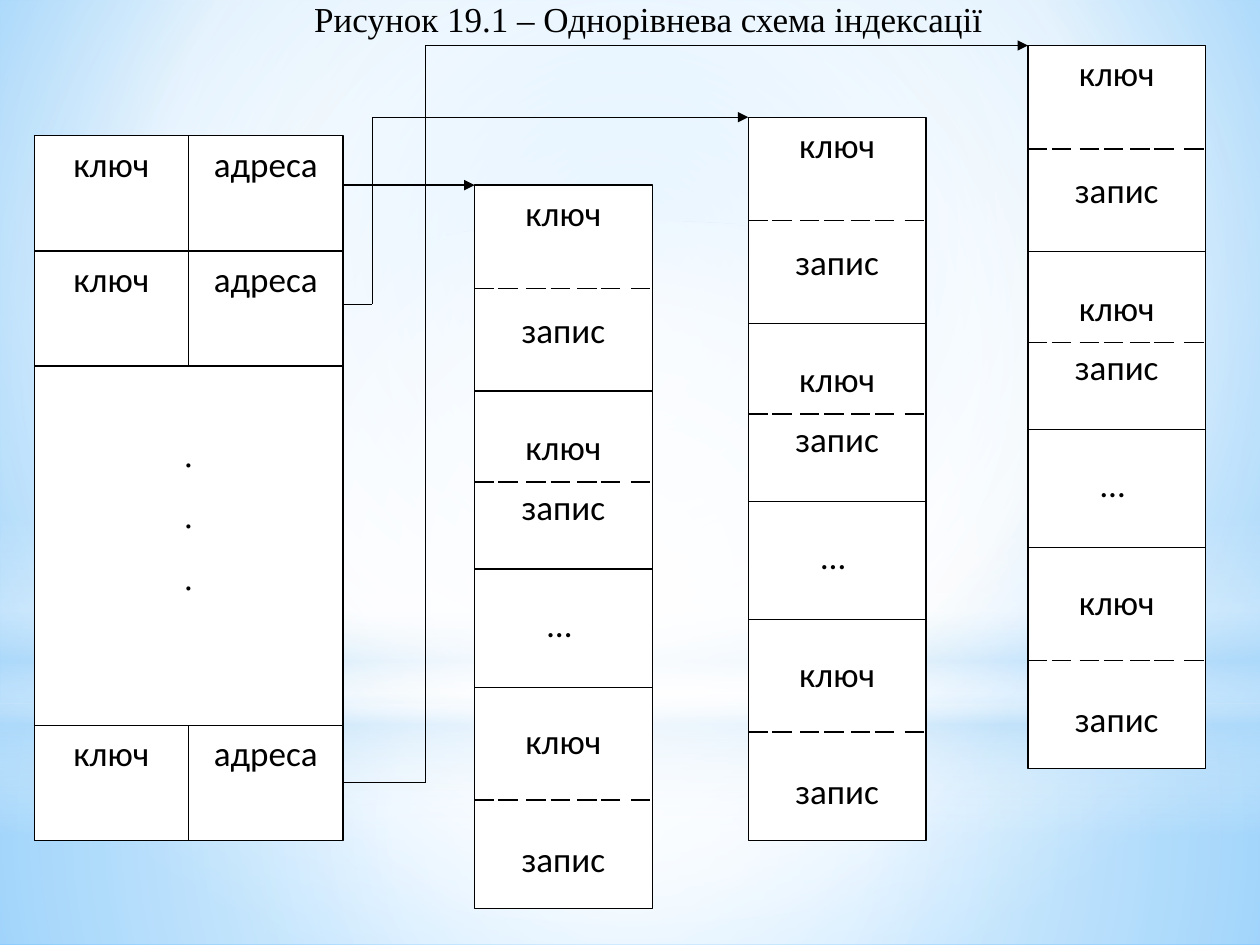
"""Build the slide with the one-level indexing scheme."""
from dataclasses import dataclass
from typing import Any, NamedTuple, Optional

from lxml.etree import SubElement
from pptx import Presentation
from pptx.dml.color import RGBColor
from pptx.enum.shapes import MSO_CONNECTOR as Connector, MSO_SHAPE as Preset
from pptx.enum.text import MSO_ANCHOR as Anchor, MSO_AUTO_SIZE as AutoSize, PP_ALIGN as Align
from pptx.oxml import parse_xml
from pptx.oxml.ns import nsdecls, qn
from pptx.util import Pt


@dataclass(frozen=True)
class Theme:
    """Colours, fonts and sizes of the slide."""
    ink: RGBColor = RGBColor(0, 0, 0)
    paper: RGBColor = RGBColor(255, 255, 255)
    white: str = "FFFFFF"
    pale: str = "B4DCFA"
    sky: str = "9ED5FF"
    deep: str = "5BB9FF"
    body_font: str = "Calibri"
    serif_font: str = "Times New Roman"
    text_size: float = 20
    line_width: float = 0.75
    paragraph_gap: float = 10


class Box(NamedTuple):
    """Left, top, width and height in points."""
    left: float
    top: float
    width: float
    height: float


class Stop(NamedTuple):
    """Gradient stop with position and opacity in percent."""
    position: int
    colour: str
    opacity: int = 100


class Line(NamedTuple):
    """Paragraph with the extra space above it."""
    text: str
    space_before: float = 0


class Route(NamedTuple):
    """Arrow from an index entry through a vertical lane to a data column."""
    start_y: float
    lane_x: float
    target: Box
    source: Optional[Any] = None


THEME = Theme()
CENTRE = (50, 50, 50, 50)
BLANK = 33
RECORD_LINES = [Line("ключ"), Line("запис", BLANK), Line("ключ", BLANK), Line("запис"),
                Line("… ", BLANK), Line("ключ", BLANK), Line("запис", BLANK)]
COLUMNS = [Box(left, top, 101.6, 413.3)
           for left, top in ((271.2, 105.8), (427.6, 67), (587.4, 26))]
RECORD_BORDERS = (117.7, 219.4, 287)
KEY_BORDERS = (59.1, 169.6, 351.3)
DASH_STARTS = (0, 13.6, 29.6, 43.4, 58.6, 72.2, 89.3)
DASH_LENGTH = 11.1
INDEX_LEFT, CELL_WIDTH, CELL_HEIGHT = 19.6, 88.2, 65.8
INDEX_RIGHT = INDEX_LEFT + 2 * CELL_WIDTH
INDEX_TOPS = (77.6, 143.4, 414.4)
GAP_TOP = INDEX_TOPS[1] + CELL_HEIGHT


def apply(target: Any, values: dict) -> None:
    """Set each named attribute on the target."""
    for name, value in values.items():
        setattr(target, name, value)


def set_gradient(properties: Any, stops: list, focus: Optional[tuple] = None) -> None:
    """Replace a solid fill by a circular gradient, or a vertical one without focus."""
    colours = "".join(
        f'<a:gs pos="{stop.position * 1000}"><a:srgbClr val="{stop.colour}">'
        f'<a:alpha val="{stop.opacity * 1000}"/></a:srgbClr></a:gs>' for stop in stops)
    direction = '<a:lin ang="5400000" scaled="0"/>'
    if focus:
        sides = " ".join(f'{side}="{value * 1000}"' for side, value in zip("ltrb", focus))
        direction = f'<a:path path="circle"><a:fillToRect {sides}/></a:path>'
    gradient = parse_xml(f'<a:gradFill {nsdecls("a")} rotWithShape="1">'
                         f'<a:gsLst>{colours}</a:gsLst>{direction}</a:gradFill>')
    properties.replace(properties.find(qn("a:solidFill")), gradient)


def add_box(slide: Any, preset: Preset, box: Box) -> Any:
    """Add a shape with a plain fill and no shadow."""
    shape = slide.shapes.add_shape(preset, *map(Pt, box))
    shape.shadow.inherit = False
    shape.fill.solid()
    return shape


def add_glow(slide: Any, preset: Preset, box: Box, stops: list,
             focus: Optional[tuple] = CENTRE) -> None:
    """Add a translucent backdrop shape."""
    shape = add_box(slide, preset, box)
    shape.line.fill.background()
    set_gradient(shape.element.spPr, stops, focus)


def add_cell(slide: Any, box: Box, lines: list, font: str = THEME.body_font,
             gap: float = THEME.paragraph_gap, inset: float = 3.6) -> Any:
    """Add an outlined cell with centred paragraphs."""
    shape = add_box(slide, Preset.RECTANGLE, box)
    shape.fill.fore_color.rgb = THEME.paper
    shape.line.color.rgb = THEME.ink
    shape.line.width = Pt(THEME.line_width)
    frame = shape.text_frame
    apply(frame, {"vertical_anchor": Anchor.TOP, "word_wrap": True, "margin_top": Pt(inset)})
    for number, line in enumerate(lines):
        paragraph = frame.add_paragraph() if number else frame.paragraphs[0]
        apply(paragraph, {"text": line.text, "alignment": Align.CENTER,
                          "space_before": Pt(line.space_before), "space_after": Pt(gap)})
        apply(paragraph.font, {"name": font, "size": Pt(THEME.text_size)})
        paragraph.font.color.rgb = THEME.ink
    return shape


def add_line(slide: Any, start: tuple, end: tuple, arrow: bool = False) -> Any:
    """Add a thin straight line, with an arrowhead at its end if wanted."""
    connector = slide.shapes.add_connector(Connector.STRAIGHT, *map(Pt, (*start, *end)))
    connector.line.color.rgb = THEME.ink
    connector.line.width = Pt(THEME.line_width)
    if arrow:
        SubElement(connector.line._get_or_add_ln(), qn("a:tailEnd"), type="triangle")
    SubElement(connector.element.spPr, qn("a:effectLst"))
    return connector


def add_background(slide: Any) -> None:
    """Paint the sky gradient and its glowing layers."""
    slide.background.fill.solid()
    set_gradient(slide.element.find(".//" + qn("p:bgPr")),
                 [Stop(0, THEME.sky), Stop(60, THEME.white), Stop(100, THEME.deep)],
                 (20, 10, 20, 60))
    white, pale = THEME.white, THEME.pale
    add_glow(slide, Preset.RECTANGLE, Box(0, 402, 720, 138),
             [Stop(0, white, 91), Stop(37, white, 76), Stop(100, pale, 79)])
    add_glow(slide, Preset.RECTANGLE, Box(0, 0, 720, 402),
             [Stop(0, white, 89), Stop(48, white, 62), Stop(100, pale, 79)])
    add_glow(slide, Preset.RECTANGLE, Box(0, 296.6, 720, 180),
             [Stop(0, white, 0), Stop(29, white, 30), Stop(45, pale, 40),
              Stop(55, white, 26), Stop(65, pale, 60), Stop(100, white, 0)], None)
    add_glow(slide, Preset.OVAL, Box(0, 126, 720, 402), [Stop(0, white), Stop(56, white, 0)])


def add_index(slide: Any) -> Any:
    """Draw the index table and return its last address cell."""
    for top in INDEX_TOPS:
        for column, text in enumerate(("ключ", "адреса")):
            box = Box(INDEX_LEFT + column * CELL_WIDTH, top, CELL_WIDTH, CELL_HEIGHT)
            cell = add_cell(slide, box, [Line(text)])
    add_cell(slide, Box(INDEX_LEFT, GAP_TOP, 2 * CELL_WIDTH, INDEX_TOPS[-1] - GAP_TOP),
             [Line(".")] * 3, THEME.serif_font, gap=11, inset=38)
    return cell


def add_column(slide: Any, box: Box) -> None:
    """Draw a data column with record borders and dashed key borders."""
    add_cell(slide, box, RECORD_LINES)
    for offset in RECORD_BORDERS:
        y = box.top + offset
        add_line(slide, (box.left, y), (box.left + box.width, y))
    for offset in KEY_BORDERS:
        y = box.top + offset
        for dash in DASH_STARTS:
            x = box.left + dash
            add_line(slide, (x, y), (x + DASH_LENGTH, y))


def add_route(slide: Any, route: Route) -> None:
    """Draw the stub, the lane and the arrow of a route."""
    lane, end_y = route.lane_x, route.target.top
    if route.start_y != end_y:
        stub = add_line(slide, (INDEX_RIGHT, route.start_y), (lane, route.start_y))
        if route.source is not None:
            stub.begin_connect(route.source, 3)
        add_line(slide, (lane, end_y), (lane, route.start_y))
    add_line(slide, (lane, end_y), (route.target.left, end_y), arrow=True)


def add_title(slide: Any, text: str) -> None:
    """Format the title placeholder and bring it to the front."""
    title = slide.shapes.title
    apply(title, {"left": Pt(160), "top": Pt(-5), "width": Pt(421.2), "height": Pt(31.6)})
    apply(title.text_frame, {"text": text, "word_wrap": False, "auto_size": AutoSize.NONE,
                             "vertical_anchor": Anchor.MIDDLE})
    paragraph = title.text_frame.paragraphs[0]
    paragraph.alignment = Align.CENTER
    apply(paragraph.font, {"name": THEME.serif_font, "size": Pt(THEME.text_size)})
    paragraph.font.color.rgb = THEME.ink
    title.element.getparent().append(title.element)


def main() -> None:
    """Build and save the presentation."""
    presentation = Presentation()
    apply(presentation, {"slide_width": Pt(720), "slide_height": Pt(540)})
    slide = presentation.slides.add_slide(presentation.slide_layouts[5])
    add_background(slide)
    last_address = add_index(slide)
    for box in COLUMNS:
        add_column(slide, box)
    near, middle, far = COLUMNS
    for route in (Route(near.top, INDEX_RIGHT, near), Route(174, 212.7, middle),
                  Route(INDEX_TOPS[-1] + CELL_HEIGHT / 2, 243.1, far, last_address)):
        add_route(slide, route)
    add_title(slide, "Рисунок 19.1 – Однорівнева схема індексації")
    presentation.save("out.pptx")


if __name__ == "__main__":
    main()
